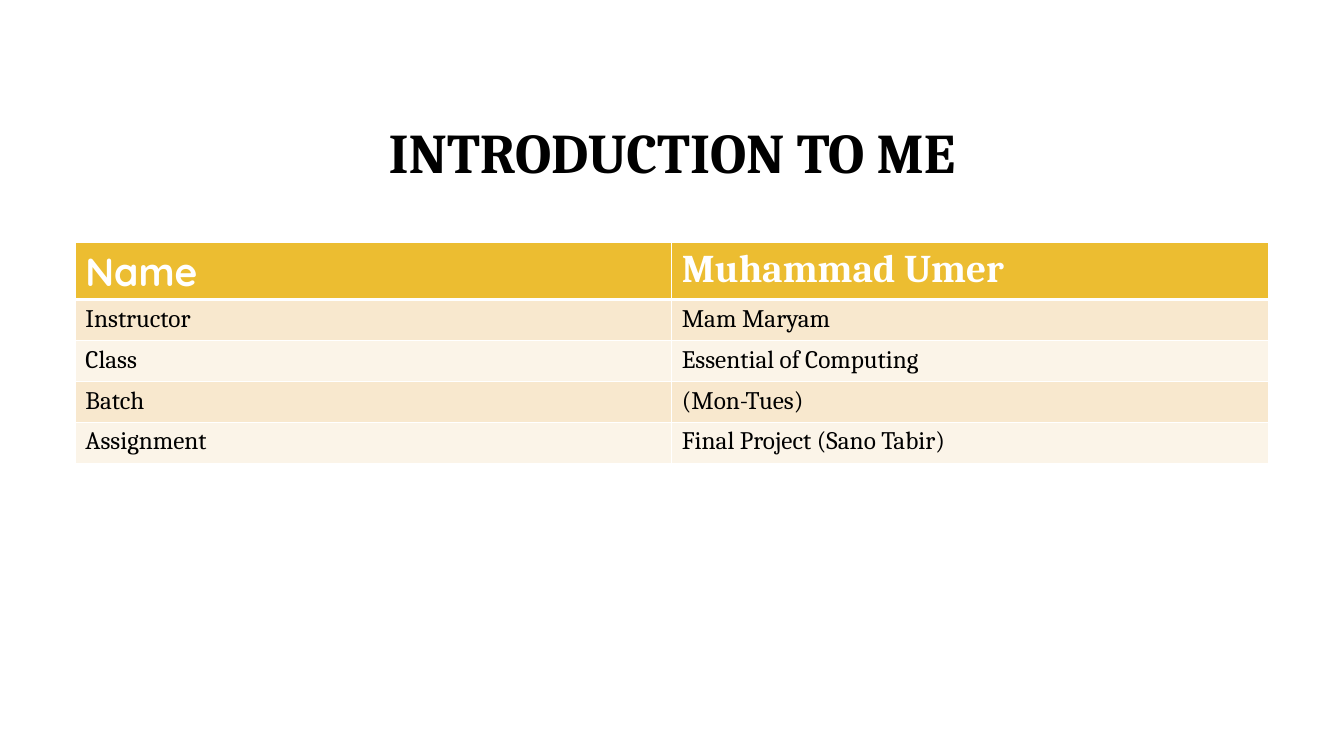
from lxml import etree
from pptx import Presentation
from pptx.dml.color import RGBColor
from pptx.enum import text
from pptx.oxml import ns
from pptx.util import Cm, Pt

BLACK = RGBColor(0x00, 0x00, 0x00)
WHITE = RGBColor(0xFF, 0xFF, 0xFF)
GOLD = RGBColor(0xEC, 0xBD, 0x31)
SAND = RGBColor(0xF8, 0xE8, 0xCE)
CREAM = RGBColor(0xFB, 0xF4, 0xE8)

ROWS = [
    ("Name", "Muhammad Umer"),
    ("Instructor", "Mam Maryam"),
    ("Class", "Essential of Computing"),
    ("Batch", "(Mon-Tues)"),
    ("Assignment", "Final Project (Sano Tabir)"),
]


def style(p, size, color, bold, name="Cambria"):
    p.font.name = name
    p.font.size = Pt(size)
    p.font.bold = bold
    p.font.color.rgb = color


def add_title(s, title):
    sp = s.shapes.add_textbox(Cm(0), Cm(2.13), Cm(33.87), Cm(3.58))
    tf = sp.text_frame
    tf.word_wrap = True
    tf.vertical_anchor = text.MSO_ANCHOR.MIDDLE
    p = tf.paragraphs[0]
    p.text = title
    p.alignment = text.PP_ALIGN.CENTER
    p.line_spacing = 0.9
    style(p, 40, BLACK, True)


def set_borders(cell, widths):
    tcPr = cell._tc.get_or_add_tcPr()
    for side, width in widths.items():
        ln = etree.SubElement(tcPr, ns.qn(f"a:ln{side}"), w=str(Pt(width)))
        fill = etree.SubElement(ln, ns.qn("a:solidFill"))
        etree.SubElement(fill, ns.qn("a:srgbClr"), val=str(WHITE))


def fill_cell(cell, value, row, col):
    header = row == 0
    set_borders(cell, {"L": 1, "R": 1, "T": 3 if row == 1 else 1, "B": 3 if header else 1})
    cell.fill.solid()
    cell.fill.fore_color.rgb = GOLD if header else SAND if row % 2 else CREAM
    p = cell.text_frame.paragraphs[0]
    p.text = value
    if header:
        style(p, 28, WHITE, True, "Cambria" if col else "Quicksand")
    else:
        style(p, 18, BLACK, False)


def add_details(s, rows):
    frame = s.shapes.add_table(len(rows), 2, Cm(1.9), Cm(6.1), Cm(30.06), Cm(5.57))
    table = frame.table
    for i, values in enumerate(rows):
        table.rows[i].height = Cm(1.03 if i else 1.45)
        for j, value in enumerate(values):
            fill_cell(table.cell(i, j), value, i, j)


def main():
    prs = Presentation()
    prs.slide_width, prs.slide_height = Cm(33.87), Cm(19.05)
    s = prs.slides.add_slide(prs.slide_layouts[6])
    add_title(s, "INTRODUCTION TO ME")
    add_details(s, ROWS)
    prs.save("out.pptx")


if __name__ == "__main__":
    main()
